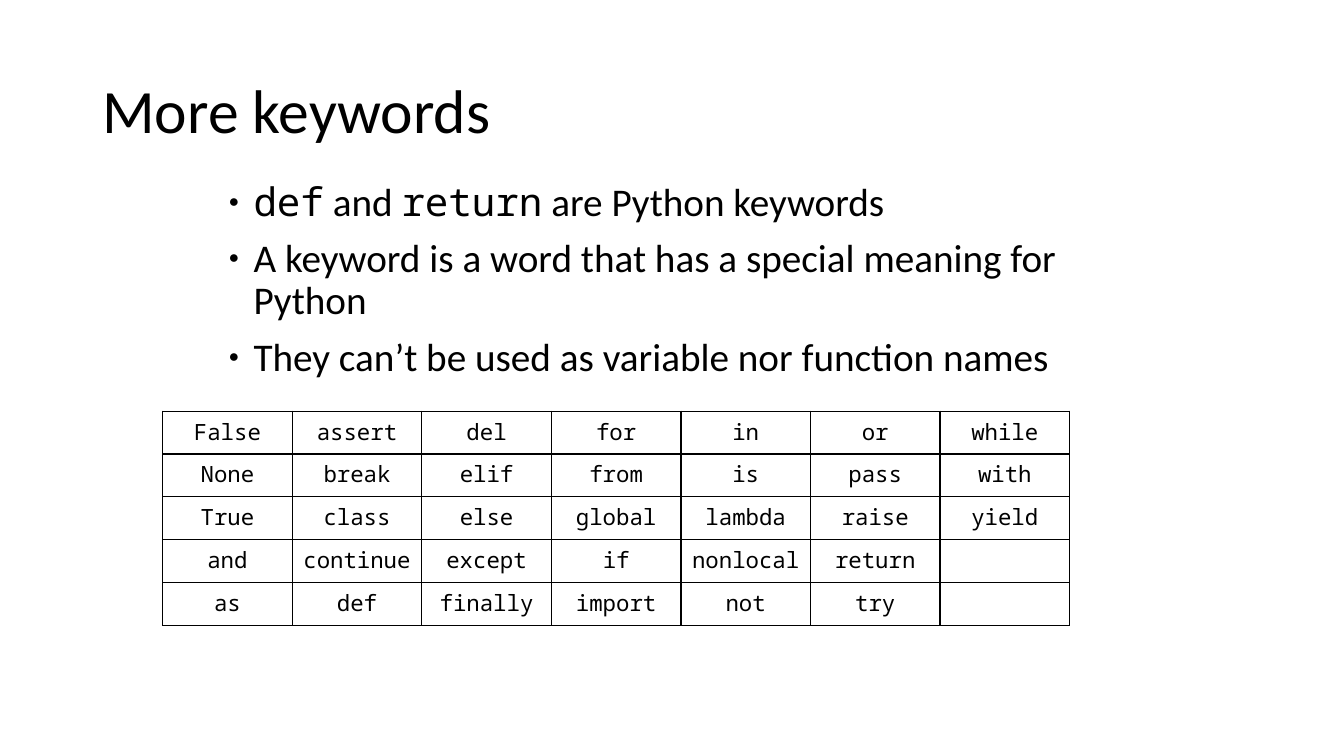
from dataclasses import dataclass

from lxml import etree
from pptx import Presentation
from pptx.dml.color import RGBColor
from pptx.enum import text as t
from pptx.oxml import ns
from pptx.util import Cm, Pt


@dataclass(frozen=True)
class Theme:
    ink: str = "000000"
    body_font: str = "Calibri"
    code_font: str = "Noto Sans Mono"
    title_size: int = 44
    bullet_size: int = 28
    cell_size: int = 16
    border: float = 1


THEME = Theme()

# Each bullet is a list of (wording, font) runs
BULLETS = [
    [("def", THEME.code_font), (" and ", THEME.body_font),
     ("return", THEME.code_font), (" are Python keywords", THEME.body_font)],
    [("A keyword is a word that has a special meaning for Python", THEME.body_font)],
    [("They can’t be used as variable nor function names", THEME.body_font)],
]

# Keywords run down the columns
KEYWORDS = (
    "False None True and as assert break class continue def "
    "del elif else except finally for from global if import "
    "in is lambda nonlocal not or pass raise return try "
    "while with yield"
).split()
ROWS, COLUMNS = 5, 7


def add_run(paragraph, wording, font, size):
    run = paragraph.add_run()
    run.text = wording
    run.font.name = font
    run.font.size = Pt(size)
    run.font.color.rgb = RGBColor.from_string(THEME.ink)


def add_frame(slide, left, top, width, height, anchor):
    frame = slide.shapes.add_textbox(Cm(left), Cm(top), Cm(width), Cm(height)).text_frame
    frame.word_wrap = True
    frame.vertical_anchor = anchor
    return frame


def add_title(slide, wording):
    frame = add_frame(slide, 2.33, 1.88, 29.21, 1.96, t.MSO_ANCHOR.MIDDLE)
    heading = frame.paragraphs[0]
    heading.line_spacing = 0.9
    add_run(heading, wording, THEME.body_font, THEME.title_size)


def set_bullet(paragraph):
    properties = paragraph._p.get_or_add_pPr()
    indent = Cm(0.63)
    properties.set("marL", str(indent))
    properties.set("indent", str(-indent))
    for tag, name, value in (("a:buSzPct", "val", "45000"),
                             ("a:buFont", "typeface", "Arial"),
                             ("a:buChar", "char", "●")):
        etree.SubElement(properties, ns.qn(tag)).set(name, value)


def add_bullets(slide, bullets):
    frame = add_frame(slide, 5.51, 4.47, 22.86, 5.26, t.MSO_ANCHOR.TOP)
    for index, runs in enumerate(bullets):
        point = frame.add_paragraph() if index else frame.paragraphs[0]
        point.line_spacing = 0.9
        point.space_before = Pt(10)
        set_bullet(point)
        for wording, font in runs:
            add_run(point, wording, font, THEME.bullet_size)


def set_borders(cell):
    properties = cell._tc.get_or_add_tcPr()
    for side in ("a:lnL", "a:lnR", "a:lnT", "a:lnB"):
        line = etree.SubElement(properties, ns.qn(side), w=str(Pt(THEME.border)))
        fill = etree.SubElement(line, ns.qn("a:solidFill"))
        etree.SubElement(fill, ns.qn("a:srgbClr"), val=THEME.ink)


def add_keyword_table(slide, keywords):
    table = slide.shapes.add_table(
        ROWS, COLUMNS, Cm(4.1), Cm(10.36), Cm(22.86), Cm(5.4)).table
    table.first_row = False
    table.horz_banding = False
    for row in range(ROWS):
        for column in range(COLUMNS):
            cell = table.cell(row, column)
            set_borders(cell)
            cell.fill.background()
            position = column * ROWS + row
            if position < len(keywords):
                entry = cell.text_frame.paragraphs[0]
                entry.alignment = t.PP_ALIGN.CENTER
                add_run(entry, keywords[position], THEME.code_font, THEME.cell_size)


def main():
    deck = Presentation()
    deck.slide_width, deck.slide_height = Cm(33.87), Cm(19.05)
    slide = deck.slides.add_slide(deck.slide_layouts[6])
    add_title(slide, "More keywords")
    add_bullets(slide, BULLETS)
    add_keyword_table(slide, KEYWORDS)
    deck.save("out.pptx")


if __name__ == "__main__":
    main()
